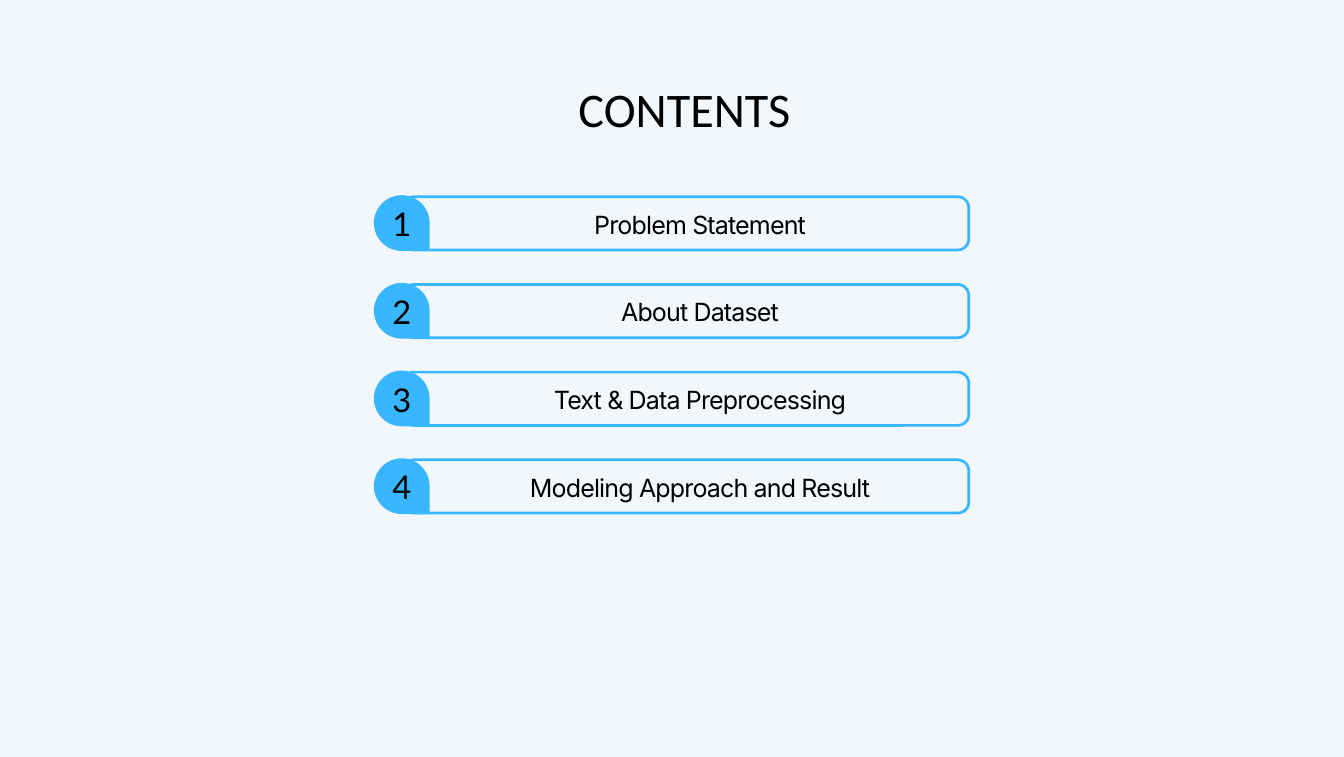
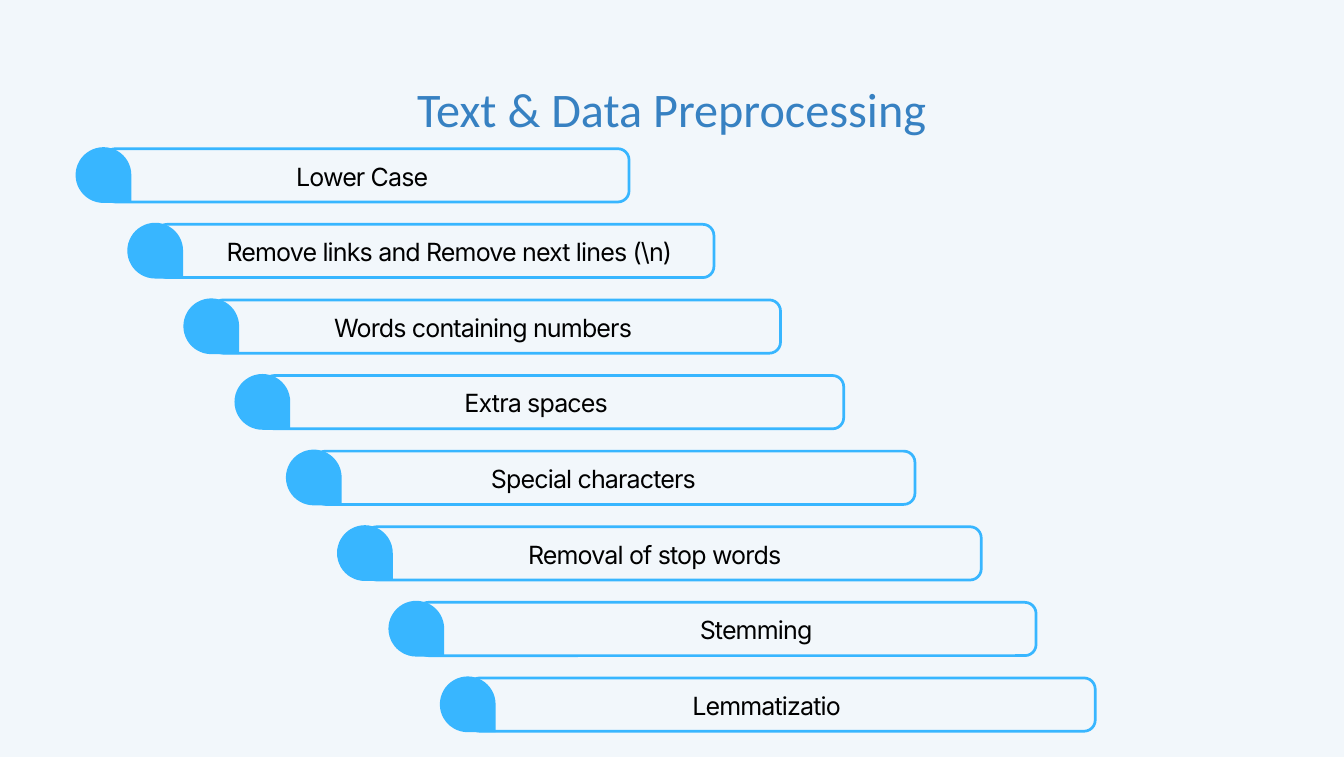
import pptx
import pptx.dml.color
import pptx.enum.shapes
import pptx.enum.text
import pptx.util

Cm = pptx.util.Cm
Pt = pptx.util.Pt
RGBColor = pptx.dml.color.RGBColor
SHAPE = pptx.enum.shapes.MSO_SHAPE

# Shared look
BACKGROUND = RGBColor(0xF2, 0xF7, 0xFB)
ACCENT = RGBColor(0x38, 0xB6, 0xFF)
TITLE_BLUE = RGBColor(0x37, 0x81, 0xC2)
BLACK = RGBColor(0x00, 0x00, 0x00)

# Bar geometry in centimetres
BADGE_SIZE = 1.8
FRAME_INDENT = 0.93
FRAME_INSET = 0.05
LABEL_DROP = 0.29
NUMBER_DROP = 0.08

# Contents list
CONTENTS = [
    "Problem Statement",
    "About Dataset",
    "Text & Data Preprocessing",
    "Modeling Approach and Result",
]
CONTENTS_LEFT, CONTENTS_RIGHT = 12.07, 31.33
CONTENTS_TOP, CONTENTS_PITCH = 6.3, 2.83

# Staircase: text, bar left, bar right, label left, label right
STEPS = [
    ("Lower Case", 2.44, 20.36, 4.24, 19.15),
    (r"Remove links and Remove next lines (\n)", 4.11, 23.1, 5.91, 23.1),
    ("Words containing numbers", 5.92, 25.25, 7.72, 23.47),
    ("Extra spaces", 7.57, 27.29, 9.37, 25.25),
    ("Special characters", 9.23, 29.59, 11.03, 27.29),
    ("Removal of stop words", 10.88, 31.73, 12.68, 29.59),
    ("Stemming", 12.54, 33.5, 17.09, 31.73),
    ("Lemmatizatio", 14.2, 35.41, 16.0, 33.5),
]
STEPS_TOP, STEPS_PITCH = 4.75, 2.44


def write_text(box, text, *, size, font, leading, color=BLACK, spacing=None):
    """Fill a text-bearing shape with one centred paragraph."""
    frame = box.text_frame
    frame.word_wrap = True
    frame.auto_size = pptx.enum.text.MSO_AUTO_SIZE.NONE
    frame.vertical_anchor = pptx.enum.text.MSO_ANCHOR.TOP
    frame.margin_left = frame.margin_right = 0
    frame.margin_top = frame.margin_bottom = 0
    para = frame.paragraphs[0]
    para.alignment = pptx.enum.text.PP_ALIGN.CENTER
    para.line_spacing = Pt(leading)
    para.space_before = Pt(0)
    span = para.add_run()
    span.text = text
    span.font.size = Pt(size)
    span.font.name = font
    span.font.color.rgb = color
    if spacing is not None:
        # Character spacing is held in hundredths of a point
        span._r.get_or_add_rPr().set("spc", str(round(spacing * 100)))


def add_text(page, text, left, top, width, height, **style):
    box = page.shapes.add_textbox(Cm(left), Cm(top), Cm(width), Cm(height))
    write_text(box, text, **style)


def add_page(deck, title, title_left, color):
    page = deck.slides.add_slide(deck.slide_layouts[5])
    box = page.shapes.title
    box.left, box.top = Cm(title_left), Cm(2.24)
    box.width, box.height = Cm(32), Cm(2.08)
    write_text(box, title, size=44.1, font="Calibri", leading=61.7, color=color)
    return page


def add_frame(page, left, top, right):
    frame = page.shapes.add_shape(
        SHAPE.ROUNDED_RECTANGLE,
        Cm(left + FRAME_INDENT), Cm(top + FRAME_INSET),
        Cm(right - FRAME_INSET - left - FRAME_INDENT),
        Cm(BADGE_SIZE - 2 * FRAME_INSET + 0.02),
    )
    frame.adjustments[0] = 0.21
    frame.shadow.inherit = False
    frame.fill.background()
    frame.line.color.rgb = ACCENT
    frame.line.width = Pt(2.5)


def add_badge(page, left, top):
    badge = page.shapes.add_shape(
        SHAPE.TEAR, Cm(left), Cm(top), Cm(BADGE_SIZE), Cm(BADGE_SIZE))
    badge.rotation = 90  # point towards the lower right
    badge.shadow.inherit = False
    badge.fill.solid()
    badge.fill.fore_color.rgb = ACCENT
    badge.line.fill.background()


def add_bar(page, text, left, top, right, label_left, label_right):
    add_frame(page, left, top, right)
    add_badge(page, left, top)
    add_text(page, text, label_left, top + LABEL_DROP,
             label_right - label_left, 1.09,
             size=22.9, font="Inter", leading=32, spacing=-0.8)


def build_contents(deck):
    page = add_page(deck, "CONTENTS", 6.1, BLACK)
    for index, text in enumerate(CONTENTS):
        top = CONTENTS_TOP + index * CONTENTS_PITCH
        add_bar(page, text, CONTENTS_LEFT, top, CONTENTS_RIGHT,
                CONTENTS_LEFT + BADGE_SIZE, CONTENTS_RIGHT)
        add_text(page, str(index + 1), CONTENTS_LEFT, top + NUMBER_DROP,
                 BADGE_SIZE, 1.42, size=29.9, font="Lato", leading=41.9)


def build_preprocessing(deck):
    page = add_page(deck, "Text & Data Preprocessing", 5.69, TITLE_BLUE)
    for index, (text, left, right, label_left, label_right) in enumerate(STEPS):
        top = STEPS_TOP + index * STEPS_PITCH
        add_bar(page, text, left, top, right, label_left, label_right)


def main():
    deck = pptx.Presentation()
    deck.slide_width, deck.slide_height = Cm(43.39), Cm(24.43)
    backdrop = deck.slide_master.background.fill
    backdrop.solid()
    backdrop.fore_color.rgb = BACKGROUND
    build_contents(deck)
    build_preprocessing(deck)
    deck.save("out.pptx")


if __name__ == "__main__":
    main()
